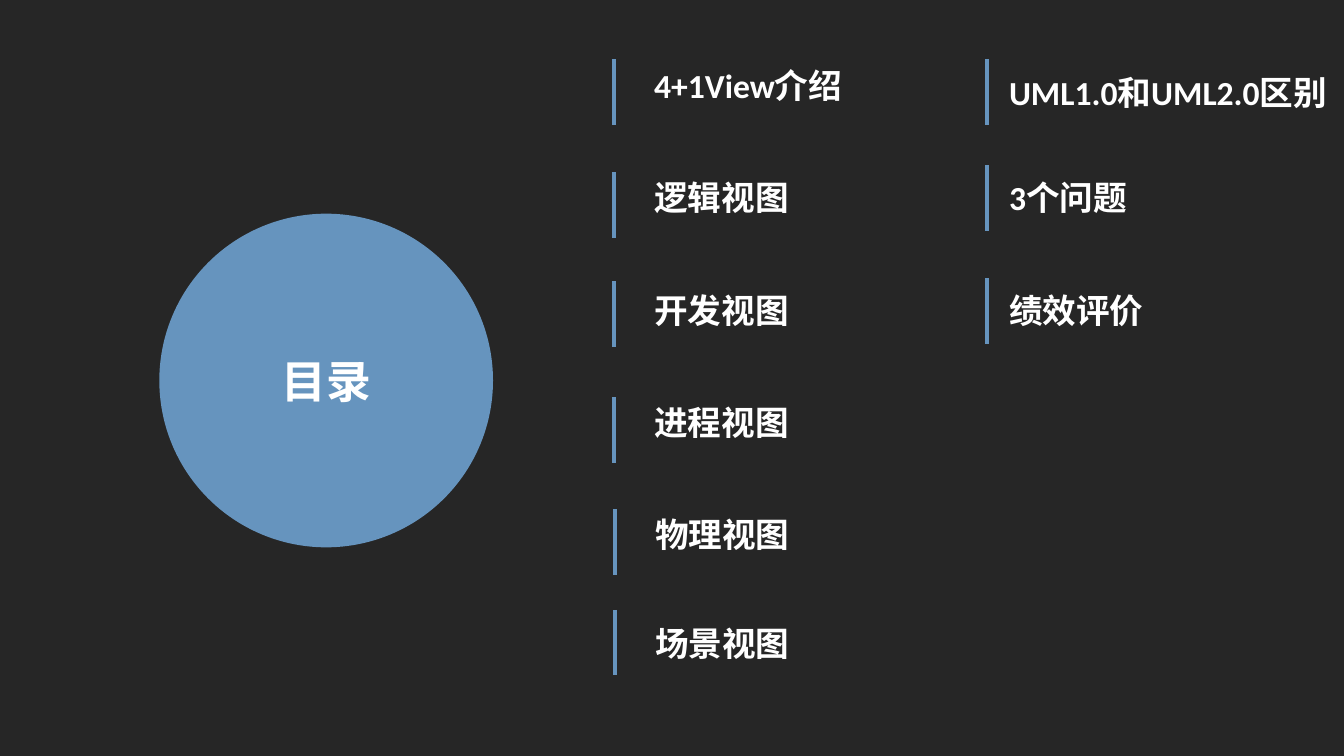
from lxml import etree
from pptx import Presentation
from pptx.dml.color import RGBColor
from pptx.enum import shapes, text
from pptx.oxml import ns
from pptx.util import Inches, Pt

COLORS = {"back": "262626", "blue": "6694BE", "white": "FFFFFF"}
LATIN = "Calibri"
HAN = "Noto Sans CJK SC"
BAR = 0.65

TOPICS = [
    ("4+1View介绍", 6.39, 0.59, 2.07, 6.09, 0.59),
    ("逻辑视图", 6.39, 1.71, 1.54, 6.09, 1.71),
    ("开发视图", 6.39, 2.83, 1.54, 6.09, 2.79),
    ("进程视图", 6.39, 3.94, 1.54, 6.09, 3.94),
    ("物理视图", 6.4, 5.05, 1.54, 6.1, 5.05),
    ("场景视图", 6.4, 6.13, 1.54, 6.1, 6.05),
    ("UML1.0和UML2.0区别", 9.91, 0.66, 3.36, 9.79, 0.59),
    ("3个问题", 9.91, 1.71, 1.37, 9.79, 1.64),
    ("绩效评价", 9.91, 2.83, 1.54, 9.79, 2.76),
]


def color(name):
    return RGBColor.from_string(COLORS[name])


def add_run(para, words, size, face):
    run = para.add_run()
    run.text = words
    font = run.font
    font.name = face
    font.size = Pt(size)
    font.bold = True
    font.color.rgb = color("white")
    east = etree.SubElement(run._r.get_or_add_rPr(), ns.qn("a:ea"))
    east.set("typeface", HAN)


def add_disc(slide, words, left, top, size):
    disc = slide.shapes.add_shape(
        shapes.MSO_SHAPE.OVAL, Inches(left), Inches(top), Inches(size), Inches(size))
    disc.shadow.inherit = False
    disc.fill.solid()
    disc.fill.fore_color.rgb = color("blue")
    disc.line.fill.background()
    frame = disc.text_frame
    frame.vertical_anchor = text.MSO_ANCHOR.MIDDLE
    para = frame.paragraphs[0]
    para.alignment = text.PP_ALIGN.CENTER
    add_run(para, words, 32, HAN)


def add_label(slide, words, left, top, width):
    box = slide.shapes.add_textbox(
        Inches(left), Inches(top), Inches(width), Inches(0.5))
    frame = box.text_frame
    frame.word_wrap = True
    add_run(frame.paragraphs[0], words, 24, LATIN)


def add_bar(slide, left, top):
    bar = slide.shapes.add_connector(
        shapes.MSO_CONNECTOR.STRAIGHT,
        Inches(left), Inches(top), Inches(left), Inches(top + BAR))
    bar.line.color.rgb = color("blue")
    bar.line.width = Pt(3)
    etree.SubElement(bar._element.spPr, ns.qn("a:effectLst"))


def main():
    deck = Presentation()
    deck.slide_width = Inches(13.33)
    deck.slide_height = Inches(7.5)
    slide = deck.slides.add_slide(deck.slide_layouts[6])
    fill = slide.background.fill
    fill.solid()
    fill.fore_color.rgb = color("back")
    add_disc(slide, "目录", 1.58, 2.12, 3.31)
    for words, left, top, width, bar_left, bar_top in TOPICS:
        add_label(slide, words, left, top, width)
        add_bar(slide, bar_left, bar_top)
    deck.save("out.pptx")


if __name__ == "__main__":
    main()
